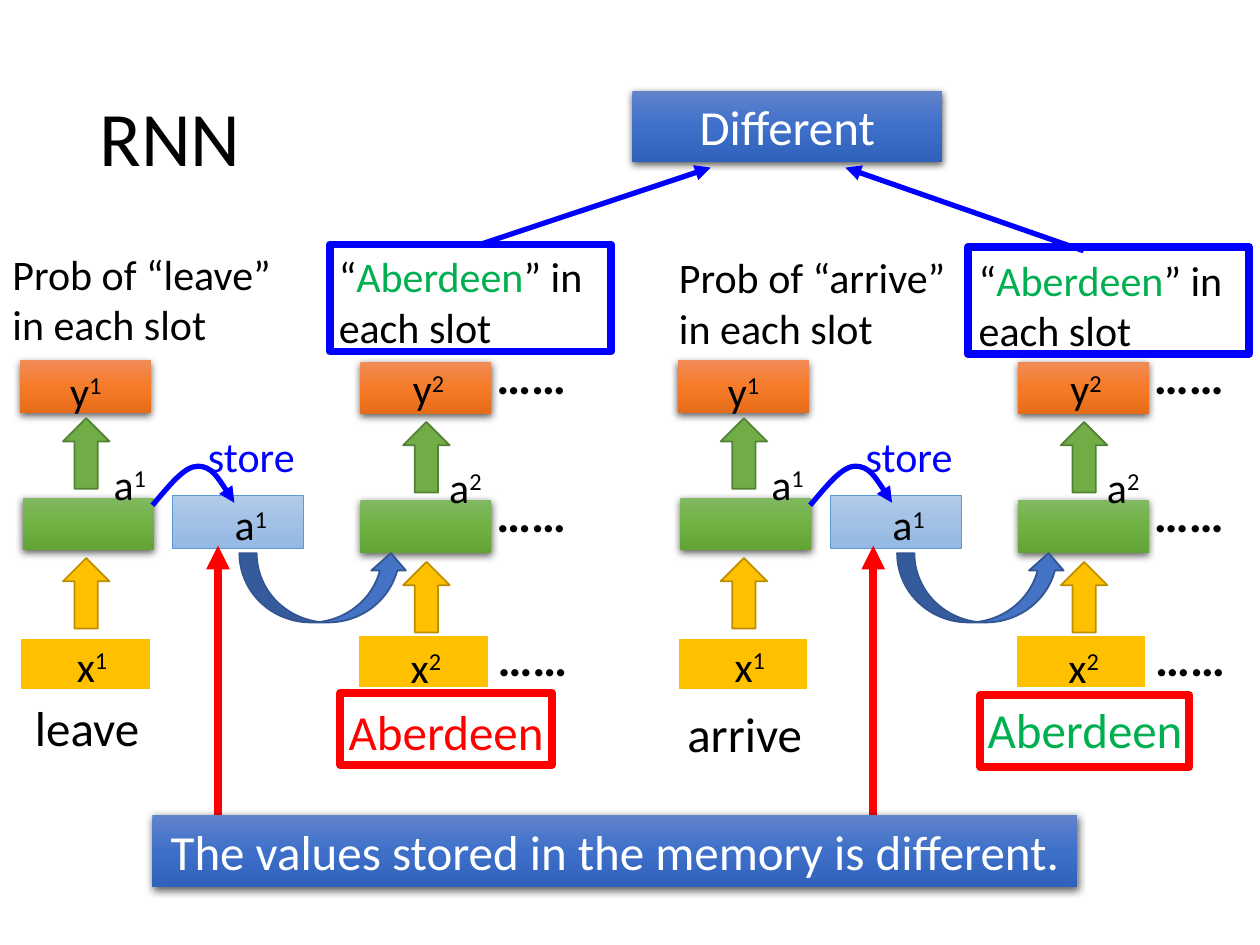
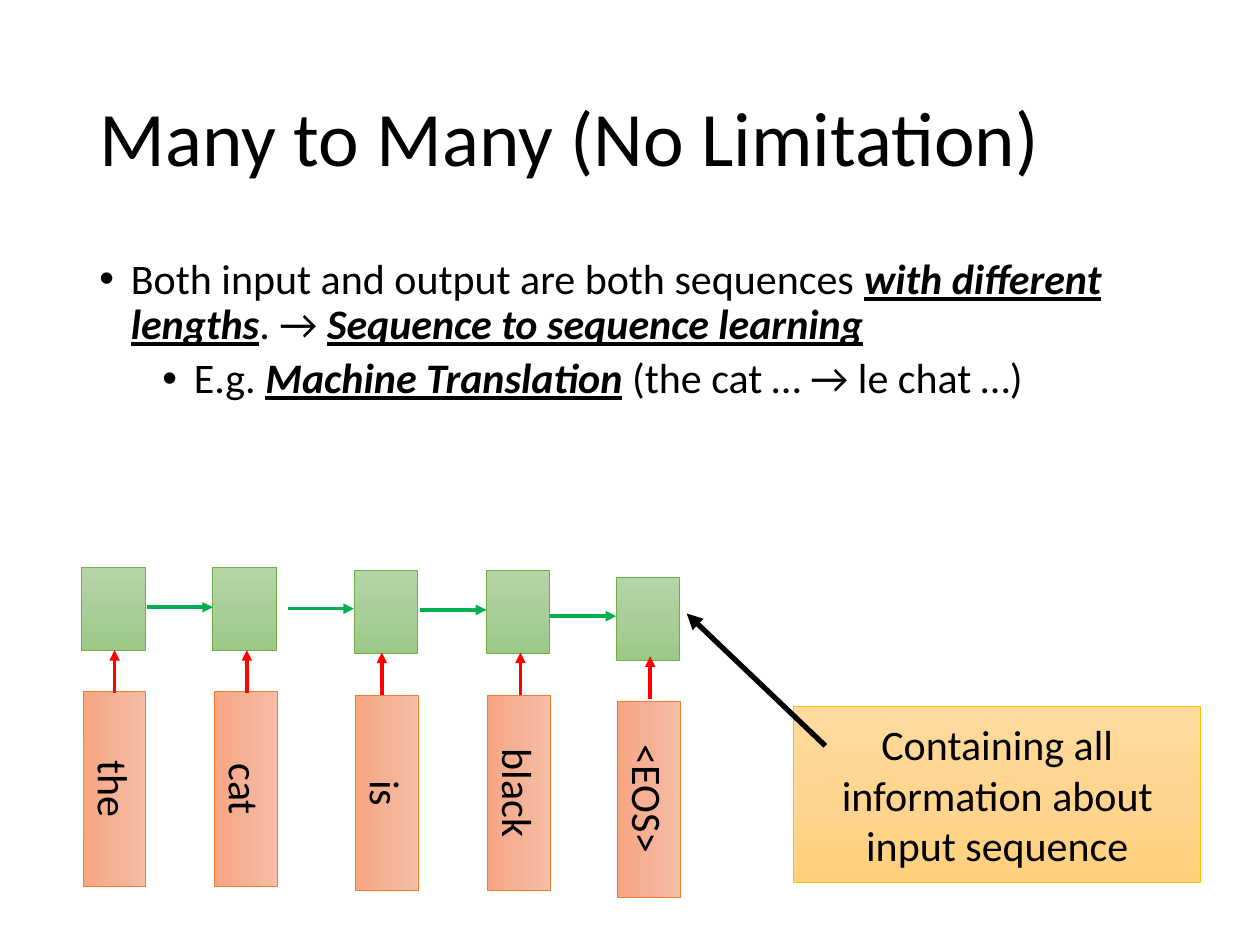
from copy import deepcopy
from dataclasses import dataclass
from typing import Any, NamedTuple, Optional

from lxml.etree import SubElement
from pptx import Presentation
from pptx.dml.color import RGBColor
from pptx.enum.shapes import MSO_CONNECTOR, MSO_SHAPE
from pptx.enum.text import MSO_ANCHOR, MSO_AUTO_SIZE, PP_ALIGN
from pptx.oxml.ns import qn
from pptx.util import Pt

FONT = "Calibri"
HEX = {
    "black": "000000", "white": "FFFFFF", "red": "FF0000", "blue": "0000FF",
    "green": "00B050", "gold": "FFC000", "leaf": "70AD47", "navy": "4472C4",
    "sky": "5B9BD5", "rust": "ED7D31",
    "gold edge": "BD8E00", "leaf edge": "538035", "navy edge": "325491",
    "leaf 1": "81B861", "leaf 2": "6FB242", "leaf 3": "62A336",
    "rust 1": "F18C57", "rust 2": "F67B28", "rust 3": "E56C19",
    "sky 1": "B1CBE9", "sky 2": "A3C1E5", "sky 3": "93B9E4",
    "navy 1": "6183CB", "navy 2": "3E70CA", "navy 3": "3062BB",
    "sand 1": "FFDB9E", "sand 2": "FFD590", "sand 3": "FFD07C",
    "peach 1": "F7BDA5", "peach 2": "F5B196", "peach 3": "F8A582",
    "mint 1": "B5D5A7", "mint 2": "AACE9A", "mint 3": "9CC987",
}


class Box(NamedTuple):
    x: float
    y: float
    w: float
    h: float


@dataclass(frozen=True)
class Look:
    fill: Optional[str] = None
    line: Optional[str] = None
    width: float = 1
    grad: bool = False
    shadow: bool = False


@dataclass(frozen=True)
class Word:
    text: str
    left: float
    top: float
    stem: float  # x of the upward arrow
    foot: float  # y where the upward arrow starts
    flow: float  # y of the arrow coming from the word before


LOOKS = {
    "input": Look("gold", "white", 1.5),
    "hidden": Look("leaf", grad=True, shadow=True),
    "output": Look("rust", grad=True, shadow=True),
    "memory": Look("sky", "sky", 0.5, grad=True),
    "banner": Look("navy", grad=True, shadow=True),
    "gold up": Look("gold", "gold edge"),
    "leaf up": Look("leaf", "leaf edge"),
    "recall": Look("navy", "navy edge"),
    "red frame": Look(line="red", width=4.5),
    "blue frame": Look(line="blue", width=4.5),
    "note": Look("sand", "gold", 0.5, grad=True),
    "word": Look("peach", "rust", 0.5, grad=True),
    "state": Look("mint", "leaf", 0.5, grad=True),
}


def rgb(name: str) -> RGBColor:
    return RGBColor.from_string(HEX[name])


def write(frame: Any, text: Any, size: float = 24, color: str = "black",
          bold: bool = False, align: Any = PP_ALIGN.LEFT,
          anchor: Any = MSO_ANCHOR.TOP, grow: bool = True,
          space: Optional[float] = None, before: float = 0,
          bullet: Optional[float] = None, more: bool = False) -> None:
    """Write one paragraph; text is a string or a list of (string, format)."""
    frame.word_wrap = True
    frame.vertical_anchor = anchor
    frame.auto_size = MSO_AUTO_SIZE.SHAPE_TO_FIT_TEXT if grow else MSO_AUTO_SIZE.NONE
    para = frame.add_paragraph() if more else frame.paragraphs[0]
    para.alignment = align
    para.space_before = Pt(before)
    if space:
        para.line_spacing = space
    if bullet:
        props = para._p.get_or_add_pPr()
        props.set("marL", str(Pt(bullet)))
        props.set("indent", str(-Pt(18)))
        SubElement(props, qn("a:buFont"), typeface="Arial")
        SubElement(props, qn("a:buChar"), char="•")
    for part, form in [(text, {})] if isinstance(text, str) else text:
        run = para.add_run()
        run.text = part
        font = run.font
        font.name, font.size = FONT, Pt(size)
        font.color.rgb = rgb(form.get("color", color))
        font.bold = bold or form.get("strong", False)
        font.italic = font.underline = form.get("strong", False)
        if form.get("sup"):
            font._element.set("baseline", "30000")


def label(shapes: Any, box: Box, text: Any, **form: Any) -> Any:
    area = shapes.add_textbox(*map(Pt, box))
    write(area.text_frame, text, **form)
    return area.text_frame


def block(shapes: Any, box: Box, name: str, kind: Any = MSO_SHAPE.RECTANGLE,
          text: Optional[str] = None, turn: float = 0, **form: Any) -> None:
    look = LOOKS[name]
    shape = shapes.add_shape(kind, *map(Pt, box))
    shape.rotation = turn
    shape.shadow.inherit = False
    fill = shape.fill
    if look.grad:
        fill.gradient()
        fill.gradient_angle = 270
        stops = shape._element.spPr.find(qn("a:gradFill")).find(qn("a:gsLst"))
        stops.append(deepcopy(stops[0]))
        for i, stop in enumerate(fill.gradient_stops):
            stop.position = i / 2
            stop.color.rgb = rgb(f"{look.fill} {i + 1}")
    elif look.fill:
        fill.solid()
        fill.fore_color.rgb = rgb(look.fill)
    else:
        fill.background()
    if look.line:
        shape.line.color.rgb = rgb(look.line)
        shape.line.width = Pt(look.width)
    else:
        shape.line.fill.background()
    if look.shadow:
        effects = shape._element.spPr.find(qn("a:effectLst"))
        cast = SubElement(effects, qn("a:outerShdw"), blurRad=str(Pt(4.5)),
                          dist=str(Pt(1.5)), dir="5400000", rotWithShape="0")
        tint = SubElement(cast, qn("a:srgbClr"), val=HEX["black"])
        SubElement(tint, qn("a:alpha"), val="63000")
    if text:
        write(shape.text_frame, text, align=PP_ALIGN.CENTER, **form)


def stroke(item: Any, color: str, width: float) -> None:
    item.line.color.rgb = rgb(color)
    item.line.width = Pt(width)
    SubElement(item._element.spPr.find(qn("a:ln")), qn("a:tailEnd"), type="triangle")


def arrow(shapes: Any, x1: float, y1: float, x2: float, y2: float,
          color: str, width: float) -> None:
    line = shapes.add_connector(MSO_CONNECTOR.STRAIGHT, *map(Pt, (x1, y1, x2, y2)))
    stroke(line, color, width)
    SubElement(line._element.spPr, qn("a:effectLst"))


def curve(shapes: Any, dots: list, color: str, width: float) -> None:
    """Draw an open curve of cubic pieces, three points to a piece."""
    first, *rest = [(Pt(x), Pt(y)) for x, y in dots]
    pen = shapes.build_freeform(*first)
    pen.add_line_segments(rest, close=False)
    shape = pen.convert_to_shape()
    steps = list(shape._element.iter(qn("a:lnTo")))
    for i in range(0, len(steps), 3):
        bend = SubElement(steps[i].getparent(), qn("a:cubicBezTo"))
        for step in steps[i:i + 3]:
            bend.append(step[0])
            step.getparent().remove(step)
    shape.shadow.inherit = False
    shape.fill.background()
    stroke(shape, color, width)


def start(deck: Any, title: str) -> Any:
    shapes = deck.slides.add_slide(deck.slide_layouts[6]).shapes
    label(shapes, Box(49.7, 28.8, 620.6, 104.4), title, size=44, space=0.9,
          anchor=MSO_ANCHOR.MIDDLE, grow=False)
    return shapes


# One unrolled network; dx moves the whole panel
CELLS = [("input", 11.5, 364.3), ("hidden", 13, 284.4), ("output", 11.5, 205.9),
         ("input", 204.5, 362.9), ("hidden", 205.9, 285.8),
         ("memory", 98.6, 283), ("output", 205.9, 206.6)]
MARKS = [("x1", 20.9, 362.2, 63.4), ("x2", 211.7, 362.9, 63.4),
         ("y1", 17.3, 205.2, 63.4), ("y2", 213.1, 203.8, 63.4),
         ("a1", 42.5, 258.5, 63.4), ("a1", 111.6, 281.5, 63.4),
         ("a2", 246.2, 259.9, 39.6)]
ARC = [(87.1, 288.7), (96.5, 277.9), (105.1, 266.4), (113, 266.4),
       (121, 266.4), (127.4, 277.2), (133.9, 287.3)]


def network(parent: Any, dx: float) -> None:
    shapes = parent.add_group_shape().shapes
    for name, x, y in CELLS:
        block(shapes, Box(x + dx, y, 74.9, 30.2), name)
    for x, y in ((36, 239), (230.4, 241.2)):
        for name, drop in (("gold up", 79.9), ("leaf up", 0)):
            block(shapes, Box(x + dx, y + drop, 26.6, 40.3), name, MSO_SHAPE.UP_ARROW)
    label(shapes, Box(107.3 + dx, 242.6, 72.7, 36), "store", color="blue",
          align=PP_ALIGN.CENTER)
    curve(shapes, [(x + dx, y) for x, y in ARC], "blue", 3)
    block(shapes, Box(136.8 + dx, 316.1, 96.5, 39.6), "recall",
          MSO_SHAPE.CURVED_UP_ARROW)
    for (sign, step), x, y, w in MARKS:
        label(shapes, Box(x + dx, y, w, 32.4), [(sign, {}), (step, {"sup": True})],
              align=PP_ALIGN.CENTER)
    for x, y in ((276.5, 193.7), (276.5, 272.9), (277.2, 355)):
        label(shapes, Box(x + dx, y, 56.2, 41), "……", size=28, bold=True)


def rnn(deck: Any) -> None:
    shapes = start(deck, "RNN")
    for dx in (0, 375.84):
        network(shapes, dx)

    # Input words
    for text, x, y, w, color, align in (
            ("leave", 10.8, 395.3, 77.8, "black", PP_ALIGN.CENTER),
            ("Aberdeen", 192.2, 397.4, 126.7, "red", PP_ALIGN.LEFT),
            ("arrive", 377.3, 398.2, 96.5, "black", PP_ALIGN.CENTER),
            ("Aberdeen", 557.3, 396, 127.4, "green", PP_ALIGN.LEFT)):
        label(shapes, Box(x, y, w, 41), text, size=28, color=color, align=align)

    # Output captions
    place = [("“", {}), ("Aberdeen", {"color": "green"}), ("” in each slot", {})]
    for text, x, y in (("Prob of “leave” in each slot", 0, 138.2),
                       (place, 186.5, 139.7),
                       ("Prob of “arrive” in each slot", 380.9, 140.4),
                       (place, 552.2, 141.8)):
        label(shapes, Box(x, y, 176.4, 65.5), text)

    # Banners, arrows and frames
    block(shapes, Box(361.4, 51.8, 177.1, 41), "banner", text="Different",
          size=28, color="white")
    arrow(shapes, 274.3, 139.7, 406.1, 95.8, "blue", 3)
    arrow(shapes, 619.2, 143.3, 483.1, 95.8, "blue", 3)
    block(shapes, Box(194.4, 396, 121, 41), "red frame")
    block(shapes, Box(560.2, 397.4, 119.5, 41), "red frame")
    arrow(shapes, 124.6, 465.8, 124.6, 311.8, "red", 4.5)
    arrow(shapes, 499, 482.4, 499, 311.8, "red", 4.5)
    block(shapes, Box(87.1, 465.8, 528.5, 41), "banner", size=28, color="white",
          text="The values stored in the memory is different.")
    for x, y in ((188.6, 139.7), (553, 141.1)):
        block(shapes, Box(x, y, 160.6, 61.2), "blue frame")


WORDS = [Word("the", 46.8, 324, 65.5, 396, 0),
         Word("cat", 121.7, 324, 141.1, 396, 347),
         Word("is", 202.3, 326.2, 218.2, 397.4, 347.8),
         Word("black", 277.9, 326.2, 297.4, 397.4, 348.5),
         Word("<EOS>", 352.1, 329.8, 371.5, 399.6, 352.1)]


def many(deck: Any) -> None:
    shapes = start(deck, "Many to Many (No Limitation)")

    # Bullets
    strong = {"strong": True}
    frame = label(shapes, Box(49.7, 144, 620.6, 342.7), [
        ("Both input and output are both sequences ", {}),
        ("with different lengths", strong), (". → ", {}),
        ("Sequence to sequence learning", strong)],
        grow=False, space=0.9, before=10, bullet=18)
    write(frame, [("E.g. ", {}), ("Machine Translation", strong),
                  (" (the cat … → le chat …)", {})],
          grow=False, space=0.9, before=5, bullet=54, more=True)

    # Encoder, one column per word
    block(shapes, Box(453.6, 403.9, 232.6, 100.1), "note", grow=False,
          text="Containing all information about input sequence",
          anchor=MSO_ANCHOR.MIDDLE)
    for word in WORDS:
        col = shapes.add_group_shape().shapes
        mid = word.left + 18.6
        block(col, Box(mid - 55.8, word.top + 109, 111.6, 36), "word",
              text=word.text, turn=90)
        block(col, Box(word.left, word.top, 36.4, 47.5), "state")
        arrow(col, word.stem, word.foot, word.stem, word.foot - 24.5, "red", 2)
        if word.flow:
            arrow(col, word.left - 37.7, word.flow, word.left, word.flow, "green", 2)
    arrow(shapes, 471.6, 426.2, 392.4, 350.6, "black", 3)


def main() -> None:
    deck = Presentation()
    deck.slide_width, deck.slide_height = Pt(720), Pt(540)
    rnn(deck)
    many(deck)
    deck.save("out.pptx")


if __name__ == "__main__":
    main()
